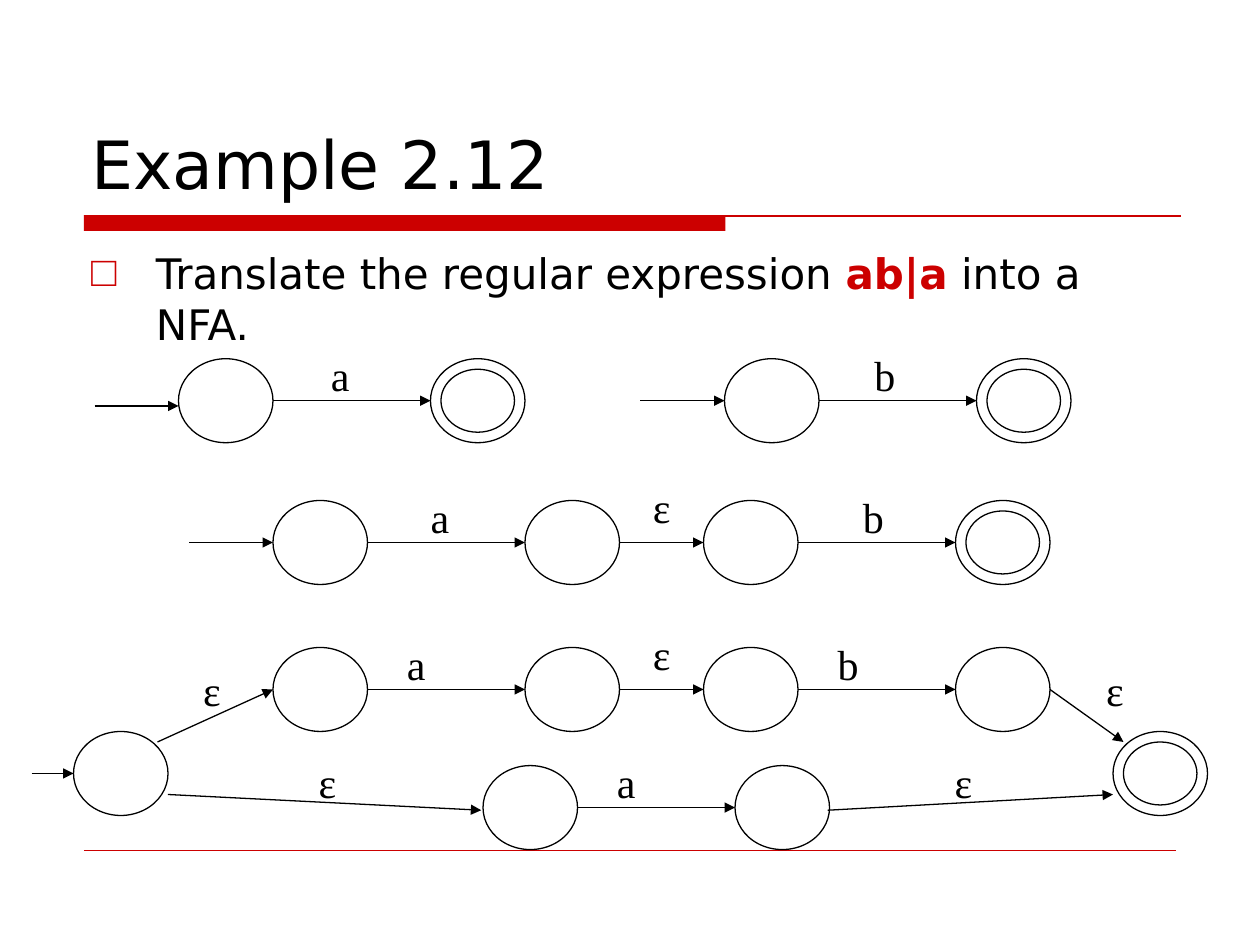
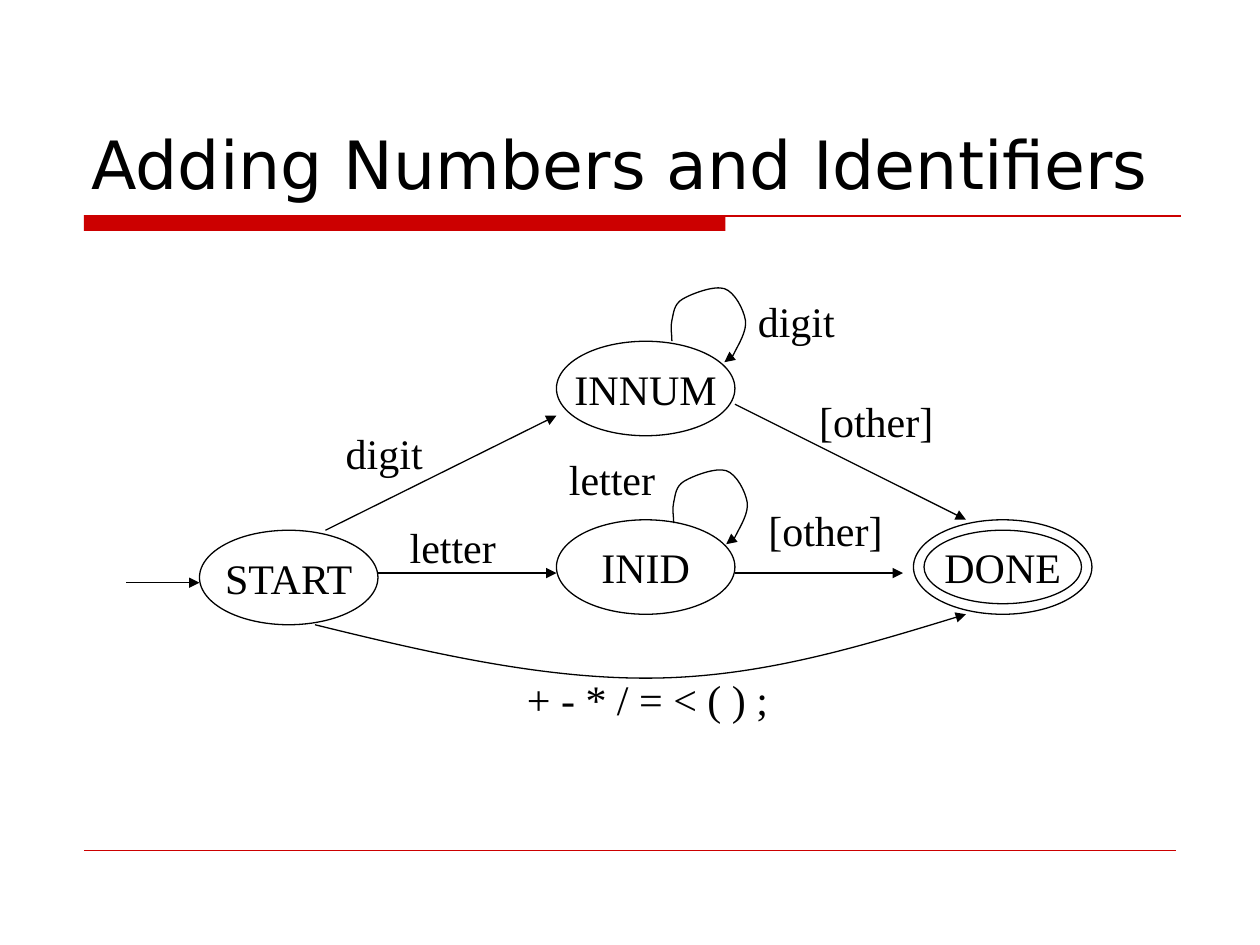
"""Build two automata slides: an NFA for ab|a and a scanner DFA."""
from lxml import etree
from pptx import Presentation
from pptx.dml.color import RGBColor
from pptx.enum import shapes, text
from pptx.oxml import ns
from pptx.util import Pt

RED, BLACK = "CC0000", "000000"
SANS, SERIF = "DejaVu Sans", "Times New Roman"
OVAL, LINE = shapes.MSO_SHAPE.OVAL, shapes.MSO_CONNECTOR.STRAIGHT
LEFT, MID = text.PP_ALIGN.LEFT, text.PP_ALIGN.CENTER
HEAD = {"word_wrap": True, "vertical_anchor": text.MSO_ANCHOR.BOTTOM}
BODY = {"word_wrap": True, "vertical_anchor": text.MSO_ANCHOR.TOP}
NODE = {"word_wrap": False, "vertical_anchor": text.MSO_ANCHOR.MIDDLE}
MARK = {"word_wrap": False, "auto_size": text.MSO_AUTO_SIZE.SHAPE_TO_FIT_TEXT}


def ink(item, color=BLACK, width=0.75, arrow=False):
    """Draw a plain outline, with an arrowhead at its end if asked."""
    item.line.color.rgb = RGBColor.from_string(color)
    item.line.width = Pt(width)
    if arrow:
        etree.SubElement(item.line._get_or_add_ln(), ns.qn("a:tailEnd"), type="triangle")
    props = item._element.spPr
    if props.find(ns.qn("a:effectLst")) is None:
        etree.SubElement(props, ns.qn("a:effectLst"))


def write(item, runs, form, face, size, align=LEFT):
    """Fill a shape with one paragraph of (words, colour, bold) runs."""
    frame = item.text_frame
    for key, val in form.items():
        setattr(frame, key, val)
    para = frame.paragraphs[0]
    para.alignment = align
    for words, color, bold in runs:
        run = para.add_run()
        run.text = words
        for key, val in {"name": face, "size": Pt(size), "bold": bold}.items():
            setattr(run.font, key, val)
        run.font.color.rgb = RGBColor.from_string(color)
    return para


nfa = {
    "title": "Example 2.12",
    "body": [("Translate the regular expression ", BLACK, False),
             ("ab|a", RED, True), (" into a NFA.", BLACK, False)],
    "size": (54, 48),
    "nodes": [(x, y, "", False) for y, row in
              [(205, (102, 414)), (286, (156, 300, 402)), (370, (156, 300, 402, 546)),
               (418, (42,)), (437.5, (276, 420))] for x in row]
    + [(x, y, "", True) for x, y in [(246, 205), (558, 205), (546, 286), (636, 418)]],
    "lines": [(x, y, end, y) for y, row in
              [(229, [(156, 246), (366, 414), (468, 558)]),
               (310, [(108, 156), (210, 300), (354, 402), (456, 546)]),
               (394, [(210, 300), (354, 402), (456, 546)]),
               (442, [(18, 42)]), (461.5, [(330, 420)])] for x, end in row]
    + [(54, 232, 102, 232), (90, 424, 156, 394), (600, 394, 642, 424),
       (96, 454, 275, 463), (473, 463, 636, 454)],
    "marks": [("a", 182, 196), ("b", 492.5, 196), ("a", 239, 277.5), ("ε", 366, 271.5),
              ("b", 486, 277.5), ("a", 225.5, 361.5), ("ε", 366, 355.5), ("b", 471.5, 361.5),
              ("ε", 109, 376), ("ε", 625, 376), ("ε", 175, 428.5), ("a", 345.5, 428.5),
              ("ε", 538.5, 428.5)],
    "curves": [],
}

loop = [(0, 0), (0, -4), (-1, -8), (0, -12), (1, -16), (1, -21), (6, -24),
        (11, -27), (24, -32), (30, -30), (36, -28), (41, -18), (42, -12),
        (43, -6), (38, 2), (36, 6), (34, 10), (32, 11.5), (30, 12)]
dfa = {
    "title": "Adding Numbers and Identifiers",
    "body": [],
    "size": (102, 54),
    "nodes": [(114, 303, "START", False), (318, 297, "INID", False),
              (318, 195, "INNUM", False), (522, 297, "DONE", True)],
    "lines": [(72, 333, 114, 333), (186, 303, 318, 237.5), (216, 327.5, 318, 327.5),
              (420, 231, 552, 297), (420, 327.5, 516, 327.5)],
    "marks": [("digit", 190.5, 240.5), ("digit", 426, 165.5), ("letter", 227, 294.5),
              ("letter", 318, 255.5), ("[other]", 461, 222.5), ("[other]", 432, 285),
              ("+ - * / = < ( ) ;", 294, 381.5)],
    "curves": [[(x + dx, y + dy) for dx, dy in loop] for x, y in [(384, 195), (385, 299)]]
    + [[(180, 357), (245, 373), (310, 388), (372, 387.5), (434, 387), (493, 369), (552, 351)]],
}
wide = {"a": 25, "b": 26.5, "ε": 24.5, "digit": 58.5, "letter": 73,
        "[other]": 81, "+ - * / = < ( ) ;": 156}

deck = Presentation()
deck.slide_width, deck.slide_height = Pt(720), Pt(540)

for page in (nfa, dfa):
    draw = deck.slides.add_slide(deck.slide_layouts[6]).shapes
    band = draw.add_shape(shapes.MSO_SHAPE.RECTANGLE, Pt(48), Pt(123), Pt(366.5), Pt(9))
    band.shadow.inherit = False
    band.fill.solid()
    band.fill.fore_color.rgb = RGBColor.from_string(RED)
    band.line.fill.background()
    for y, end, width in [(123.25, 675, 1), (486, 672, 0.25)]:
        ink(draw.add_connector(LINE, Pt(48), Pt(y), Pt(end), Pt(y)), RED, width)

    title = draw.add_textbox(Pt(45), Pt(23.5), Pt(630), Pt(96))
    write(title, [(page["title"], BLACK, False)], HEAD, SANS, 38)
    if page["body"]:
        body = draw.add_textbox(Pt(45), Pt(138), Pt(630), Pt(55))
        para = write(body, page["body"], BODY, SANS, 24)
        props = para._p.get_or_add_pPr()
        props.set("marL", str(Pt(37)))
        props.set("indent", str(-Pt(37)))
        tint = etree.SubElement(props, ns.qn("a:buClr"))
        etree.SubElement(tint, ns.qn("a:srgbClr"), val=RED)
        etree.SubElement(props, ns.qn("a:buFont"), typeface=SERIF)
        etree.SubElement(props, ns.qn("a:buChar"), char="□")

    w, h = page["size"]
    for x, y, name, final in page["nodes"]:
        for gap in (0, 6) if final else (0,):
            node = draw.add_shape(OVAL, Pt(x + gap), Pt(y + gap),
                                  Pt(w - 2 * gap), Pt(h - 2 * gap))
            node.fill.background()
            ink(node)
        if name:
            write(node, [(name, BLACK, False)], NODE, SERIF, 24, MID)

    for ends in page["lines"]:
        ink(draw.add_connector(LINE, *map(Pt, ends)), arrow=True)

    for points in page["curves"]:
        spots = [(Pt(x), Pt(y)) for x, y in points]
        pen = draw.build_freeform(*spots[0])
        pen.add_line_segments(spots[1:], close=False)
        curve = pen.convert_to_shape()
        curve.fill.background()
        ink(curve, arrow=True)
        steps = curve._element.xpath(".//a:lnTo")
        for i in range(0, len(steps), 3):
            bend = etree.Element(ns.qn("a:cubicBezTo"))
            steps[i].addprevious(bend)
            for step in steps[i:i + 3]:
                bend.append(step[0])
                step.getparent().remove(step)

    for word, x, y in page["marks"]:
        mark = draw.add_textbox(Pt(x), Pt(y), Pt(wide[word]), Pt(36))
        write(mark, [(word, BLACK, False)], MARK, SERIF, 24)
        mark.text_frame.word_wrap = word == "letter"

deck.save("out.pptx")
